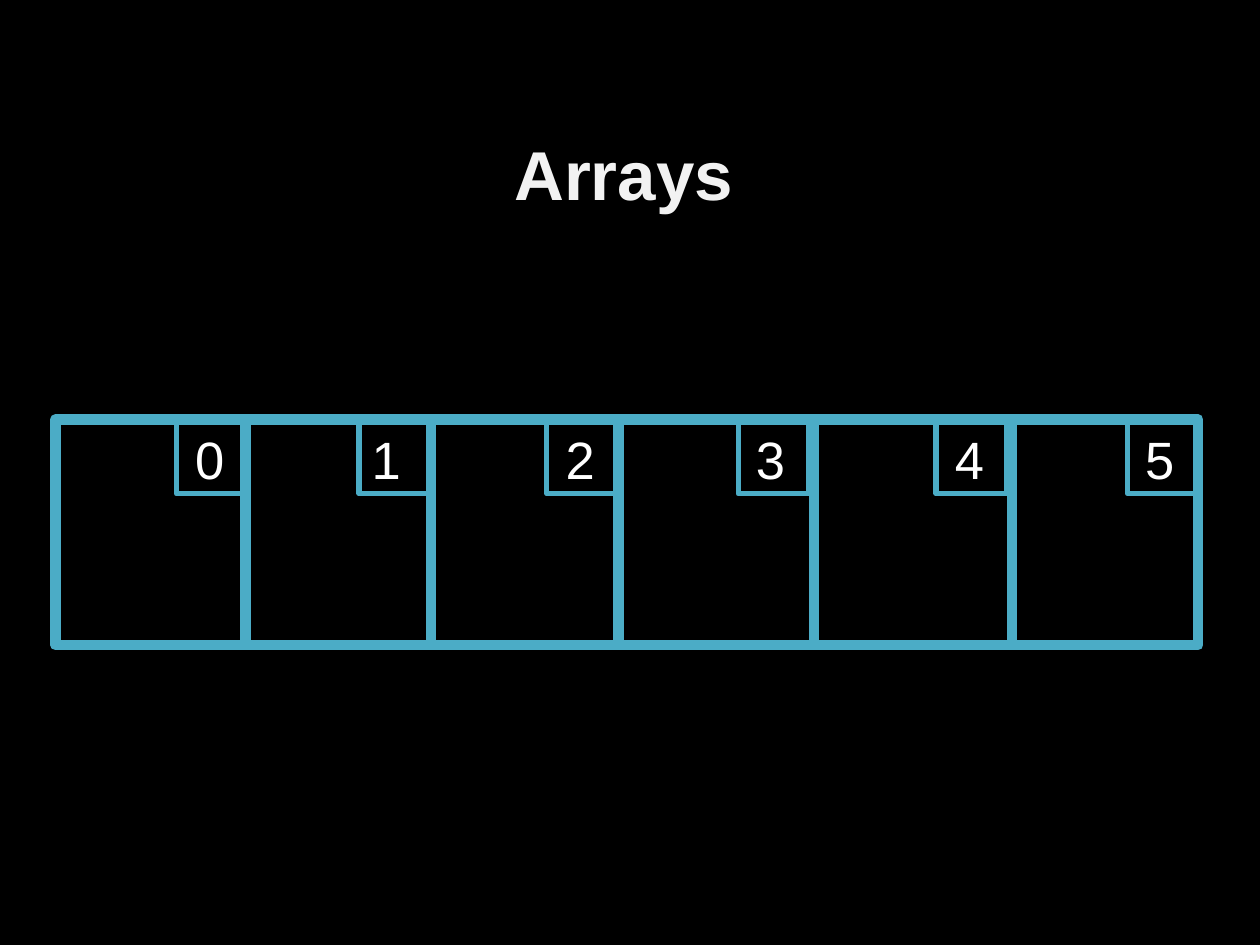
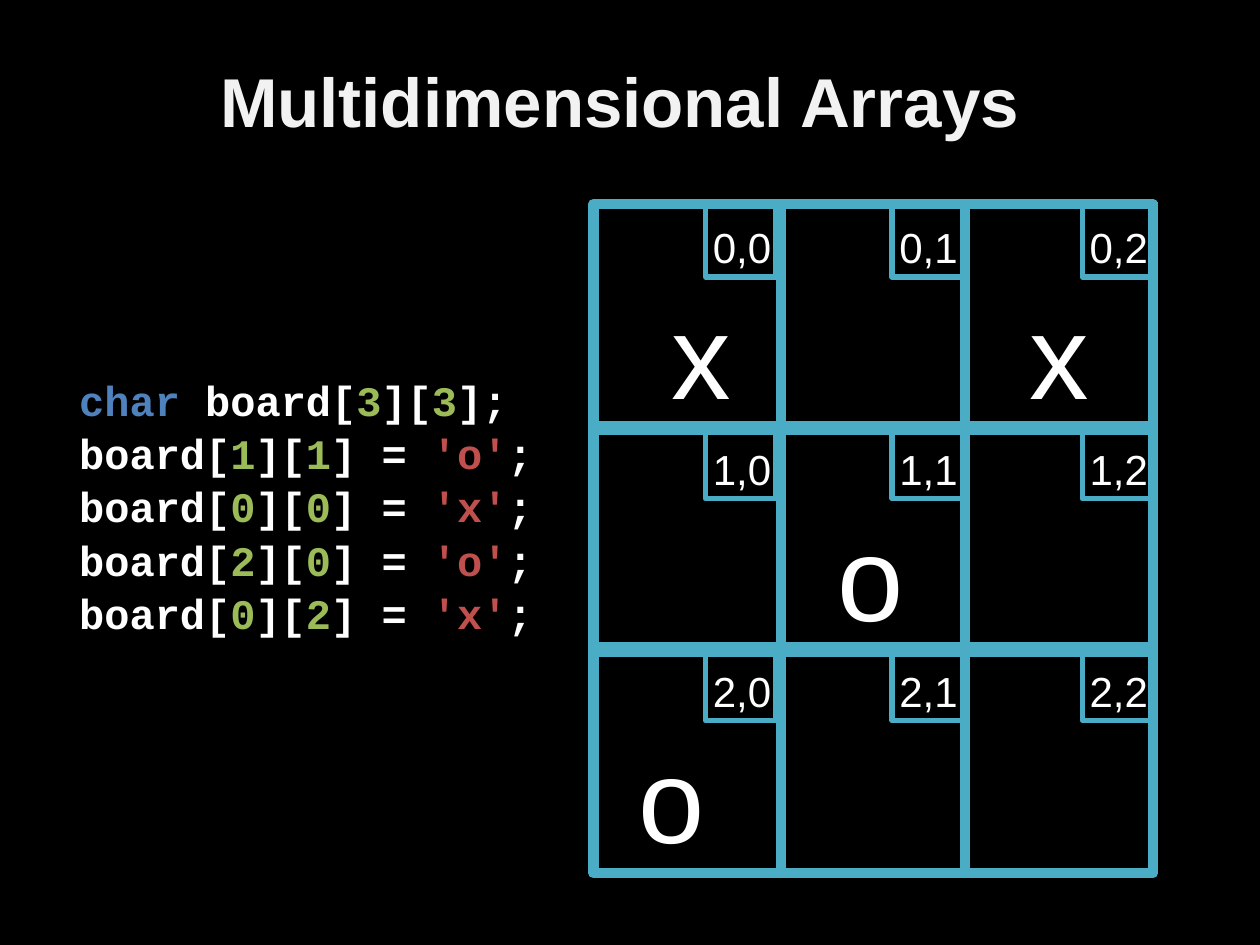
from dataclasses import dataclass

from lxml import etree
from pptx import Presentation
from pptx.dml.color import RGBColor
from pptx.enum.shapes import MSO_CONNECTOR, MSO_SHAPE
from pptx.enum.text import MSO_ANCHOR, MSO_AUTO_SIZE, PP_ALIGN
from pptx.oxml.ns import qn
from pptx.slide import Slide
from pptx.text.text import TextFrame, _Paragraph
from pptx.util import Inches, Pt

RECTANGLE = MSO_SHAPE.RECTANGLE
STRAIGHT = MSO_CONNECTOR.STRAIGHT
TOP, MIDDLE = MSO_ANCHOR.TOP, MSO_ANCHOR.MIDDLE
CENTER = PP_ALIGN.CENTER
NO_AUTOFIT = MSO_AUTO_SIZE.NONE

BLACK, WHITE, TITLE_COLOR = "000000", "FFFFFF", "F2F2F2"
GRID_COLOR = "4BACC6"
KEYWORD, NUMBER, LITERAL = "4F81BD", "9BBB59", "C0504D"
BODY_FONT, CODE_FONT = "Arial", "Courier New"
FRAME_WEIGHT, TAG_WEIGHT = 6, 3
TAG_WIDTH, TAG_HEIGHT = 0.56, 0.6
CELL_HEIGHT, DIVIDER_HEIGHT = 1.79, 1.82


@dataclass(frozen=True)
class Box:
    left: float
    top: float
    width: float
    height: float

    def inches(self) -> tuple:
        return tuple(Inches(v) for v in (self.left, self.top, self.width, self.height))


@dataclass(frozen=True)
class Column:
    """Left edges of the index tag and its label, and the cell's right edge."""
    tag: float
    label: float
    right: float


@dataclass(frozen=True)
class Move:
    row: int
    col: int
    mark: str
    left: float


ARRAY_COLUMNS = (
    Column(1.40, 1.45, 1.95),
    Column(2.85, 2.85, 3.42),
    Column(4.34, 4.39, 4.91),
    Column(5.86, 5.90, 6.46),
    Column(7.43, 7.48, 8.03),
    Column(8.95, 8.99, 9.51),
)
BOARD_COLUMNS = (
    Column(5.60, 5.56, 6.20),
    Column(7.08, 7.04, 7.66),
    Column(8.59, 8.55, 9.15),
)
BOARD_TOP, ROW_PITCH = 1.6, 1.76
MOVES = (
    Move(1, 1, "o", 6.55),
    Move(0, 0, "x", 5.23),
    Move(2, 0, "o", 4.97),
    Move(0, 2, "x", 8.07),
)


def rgb(color: str) -> RGBColor:
    return RGBColor.from_string(color)


def apply(target: object, values: dict) -> None:
    for name, value in values.items():
        setattr(target, name, value)


def add_run(paragraph: _Paragraph, text: str, color: str, size: float,
            font: str = BODY_FONT, bold: bool = False) -> None:
    run = paragraph.add_run()
    run.text = text
    apply(run.font, {"name": font, "size": Pt(size), "bold": bold})
    run.font.color.rgb = rgb(color)


def format_frame(frame: TextFrame, anchor: MSO_ANCHOR, vertical_inset: float) -> None:
    apply(frame, {
        "word_wrap": True, "auto_size": NO_AUTOFIT, "vertical_anchor": anchor,
        "margin_left": Inches(0.1), "margin_right": Inches(0.1),
        "margin_top": Inches(vertical_inset), "margin_bottom": Inches(vertical_inset),
    })


def add_titled_slide(prs: Presentation, text: str, box: Box) -> Slide:
    slide = prs.slides.add_slide(prs.slide_layouts.get_by_name("Title Only"))
    title = slide.shapes.title
    apply(title, dict(zip(("left", "top", "width", "height"), box.inches())))
    format_frame(title.text_frame, MIDDLE, 0.05)
    paragraph = title.text_frame.paragraphs[0]
    paragraph.alignment = CENTER
    add_run(paragraph, text, TITLE_COLOR, 39.5, bold=True)
    return slide


def add_label(slide: Slide, text: str, box: Box, size: float) -> None:
    frame = slide.shapes.add_textbox(*box.inches()).text_frame
    format_frame(frame, TOP, 0.1)
    add_run(frame.paragraphs[0], text, WHITE, size)


def add_outline(slide: Slide, box: Box, weight: float) -> None:
    outline = slide.shapes.add_shape(RECTANGLE, *box.inches())
    outline.shadow.inherit = False
    outline.fill.background()
    outline.line.color.rgb = rgb(GRID_COLOR)
    outline.line.width = Pt(weight)


def add_divider(slide: Slide, x: float, top: float) -> None:
    divider = slide.shapes.add_connector(
        STRAIGHT, Inches(x), Inches(top), Inches(x), Inches(top + DIVIDER_HEIGHT))
    divider.line.color.rgb = rgb(GRID_COLOR)
    divider.line.width = Pt(FRAME_WEIGHT)
    etree.SubElement(divider._element.spPr, qn("a:effectLst"))


def add_tag(slide: Slide, column: Column, top: float) -> None:
    add_outline(slide, Box(column.tag, top, TAG_WIDTH, TAG_HEIGHT), TAG_WEIGHT)


def build_array(prs: Presentation) -> None:
    slide = add_titled_slide(prs, "Arrays", Box(0.83, 0.42, 8.24, 1.91))
    add_outline(slide, Box(0.44, 3.33, 9.07, CELL_HEIGHT), FRAME_WEIGHT)
    for column in ARRAY_COLUMNS[:-1]:
        add_divider(slide, column.right, 3.29)
    for index, column in enumerate(ARRAY_COLUMNS):
        add_tag(slide, column, 3.32)
        add_label(slide, str(index), Box(column.label, 3.29, 0.48, 0.65), 30)


def add_board_row(slide: Slide, row: int) -> None:
    top = BOARD_TOP + row * ROW_PITCH
    add_outline(slide, Box(4.71, top + 0.02, 4.44, CELL_HEIGHT), FRAME_WEIGHT)
    for col, column in enumerate(BOARD_COLUMNS):
        add_divider(slide, column.right, top)
        add_tag(slide, column, top)
        add_label(slide, f"{row},{col}", Box(column.label, top + 0.06, 0.86, 0.65), 24)


def subscript(row: int, col: int) -> list[tuple[str, str]]:
    """Coloured pieces between the first and the last bracket."""
    return [(str(row), NUMBER), ("][", WHITE), (str(col), NUMBER)]


def add_code(slide: Slide) -> None:
    lines = [[("char", KEYWORD), (" board[", WHITE), *subscript(3, 3), ("];", WHITE)]]
    lines += [
        [("board[", WHITE), *subscript(move.row, move.col), ("] = ", WHITE),
         (f"'{move.mark}'", LITERAL), (";", WHITE)]
        for move in MOVES
    ]
    frame = slide.shapes.add_textbox(*Box(0.53, 2.92, 4.14, 2.15).inches()).text_frame
    format_frame(frame, TOP, 0.05)
    for number, line in enumerate(lines):
        paragraph = frame.add_paragraph() if number else frame.paragraphs[0]
        paragraph.space_after = Pt(1.7)
        for text, color in line:
            add_run(paragraph, text, color, 24, CODE_FONT, True)


def build_board(prs: Presentation) -> None:
    slide = add_titled_slide(prs, "Multidimensional Arrays", Box(0.8, -0.16, 8.24, 1.91))
    for row in range(3):
        add_board_row(slide, row)
    for move in MOVES:
        top = BOARD_TOP + move.row * ROW_PITCH + 0.53
        add_label(slide, move.mark, Box(move.left, top, 0.9, 1.11), 68)
    add_code(slide)


def main() -> None:
    prs = Presentation()
    prs.slide_width, prs.slide_height = Inches(10), Inches(7.5)
    background = prs.slide_master.background.fill
    background.solid()
    background.fore_color.rgb = rgb(BLACK)
    build_array(prs)
    build_board(prs)
    prs.save("out.pptx")


if __name__ == "__main__":
    main()
